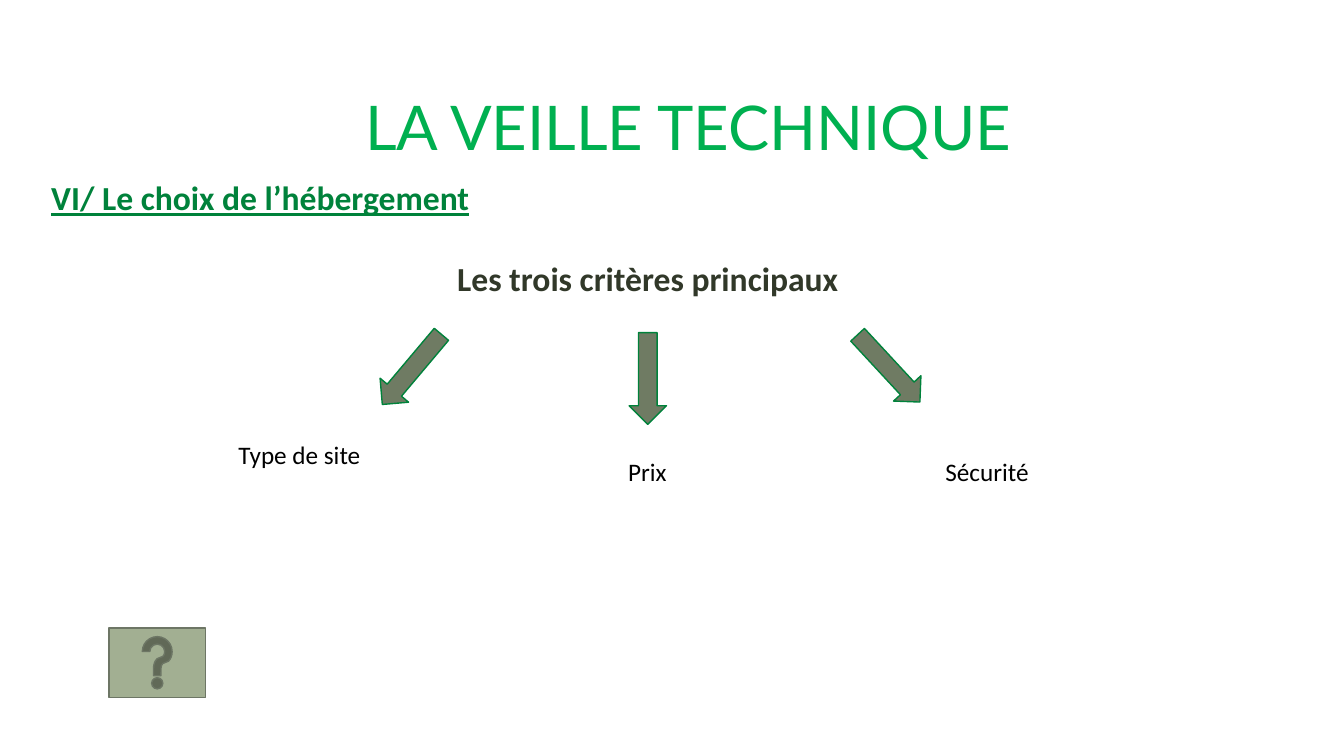
from pptx import Presentation
from pptx.dml.color import RGBColor
from pptx.enum.shapes import MSO_SHAPE
from pptx.enum.text import MSO_ANCHOR, PP_ALIGN
from pptx.util import Inches, Pt

LEFT, CENTER = PP_ALIGN.LEFT, PP_ALIGN.CENTER
TOP, MIDDLE = MSO_ANCHOR.TOP, MSO_ANCHOR.MIDDLE
DOWN_ARROW, HELP_BUTTON = MSO_SHAPE.DOWN_ARROW, MSO_SHAPE.ACTION_BUTTON_HELP

COLORS = {
    "title": "00B050", "heading": "00823B", "subject": "313829", "label": "000000",
    "arrow": "6F7B63", "button": "A2AF92", "button_line": "6D7665",
}

# Content: text and box (left, top, width, height) in inches
TITLE = ("LA VEILLE TECHNIQUE", (1.08, 0.57, 11.5, 1.45))
HEADING = ("VI/ Le choix de l’hébergement", (0.41, 1.71, 6.25, 0.5))
SUBJECT = ("Les trois critères principaux", (4.08, 2.51, 4.69, 0.5))
HELP_BOX = (1.08, 6.23, 0.96, 0.69)

# Criteria: label, label left and top, arrow left and top, arrow rotation
CRITERIA = [
    ("Type de site", (1.7, 4.31), (3.9, 3.21), 40.1),
    ("Prix", (5.15, 4.48), (6.24, 3.3), 0),
    ("Sécurité", (8.52, 4.48), (8.63, 3.2), 317.2),
]
LABEL_SIZE = (2.54, 0.4)
ARROW_SIZE = (0.37, 0.91)

presentation = Presentation()
presentation.slide_width, presentation.slide_height = Inches(13.33), Inches(7.5)
slide = presentation.slides.add_slide(presentation.slide_layouts[6])


def color(name):
    return RGBColor.from_string(COLORS[name])


def add_text(text, box, size, color_name, font="Calibri", align=CENTER,
             anchor=TOP, bold=False, underline=False, spacing=1.0):
    text_frame = slide.shapes.add_textbox(*map(Inches, box)).text_frame
    text_frame.word_wrap = True
    text_frame.vertical_anchor = anchor
    text_frame.text = text
    paragraph = text_frame.paragraphs[0]
    paragraph.alignment, paragraph.line_spacing = align, spacing
    run_font = paragraph.runs[0].font
    run_font.name, run_font.size = font, Pt(size)
    run_font.bold, run_font.underline = bold, underline
    run_font.color.rgb = color(color_name)


def add_filled_shape(kind, box, fill, line, rotation=0):
    shape = slide.shapes.add_shape(kind, *map(Inches, box))
    shape.shadow.inherit = False
    shape.rotation = rotation
    shape.fill.solid()
    shape.fill.fore_color.rgb = color(fill)
    shape.line.color.rgb = color(line)
    shape.line.width = Pt(1)


# Titles
add_text(*HEADING, 24, "heading", align=LEFT, bold=True, underline=True)
add_text(*TITLE, 44, "title", font="Lato", anchor=MIDDLE, spacing=0.9)
add_text(*SUBJECT, 24, "subject", bold=True)

# Help button
add_filled_shape(HELP_BUTTON, HELP_BOX, "button", "button_line")

# Three criteria, each with its arrow
for label, label_place, arrow_place, rotation in CRITERIA:
    add_text(label, label_place + LABEL_SIZE, 18, "label")
    add_filled_shape(DOWN_ARROW, arrow_place + ARROW_SIZE, "arrow", "heading", rotation)

presentation.save("out.pptx")
